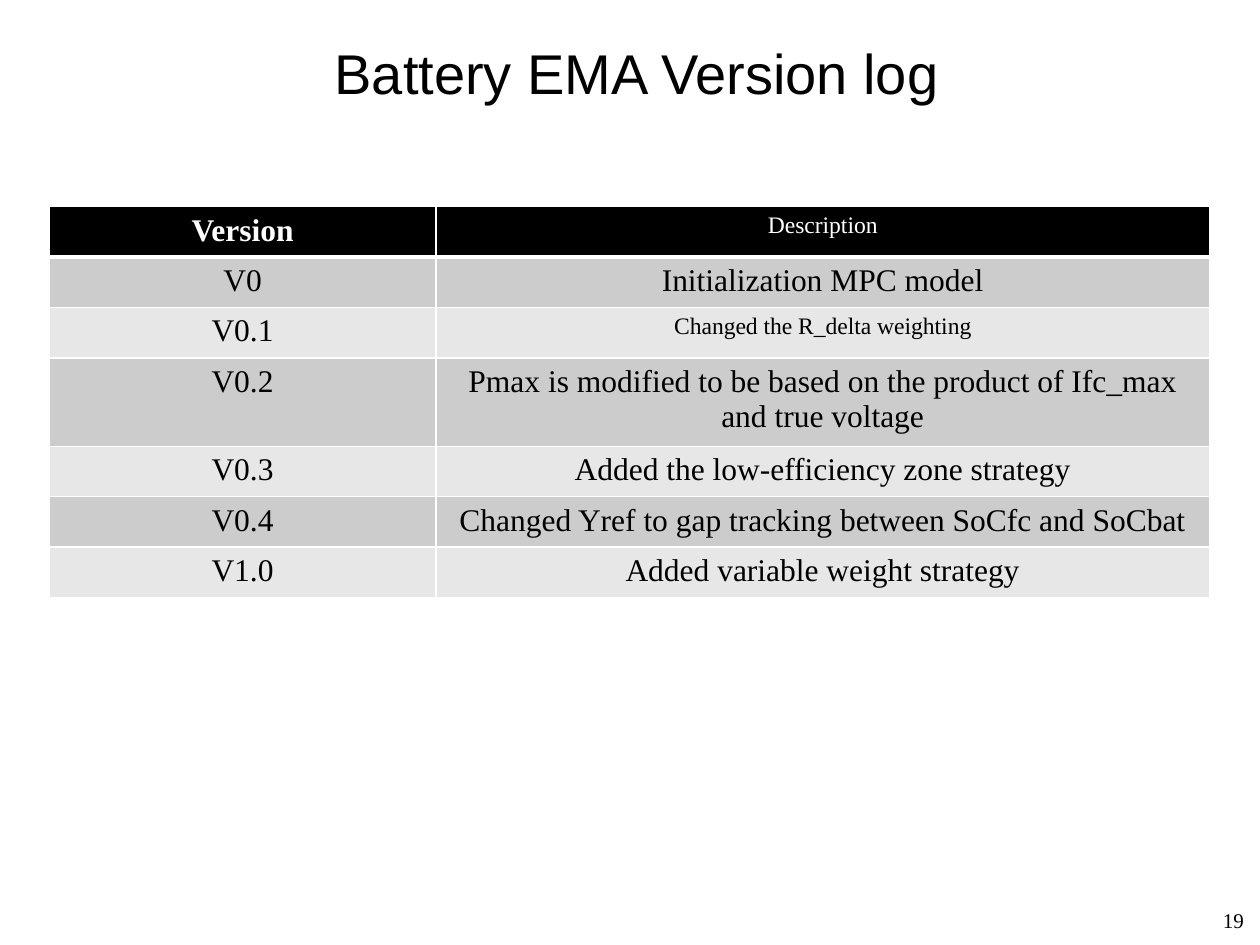
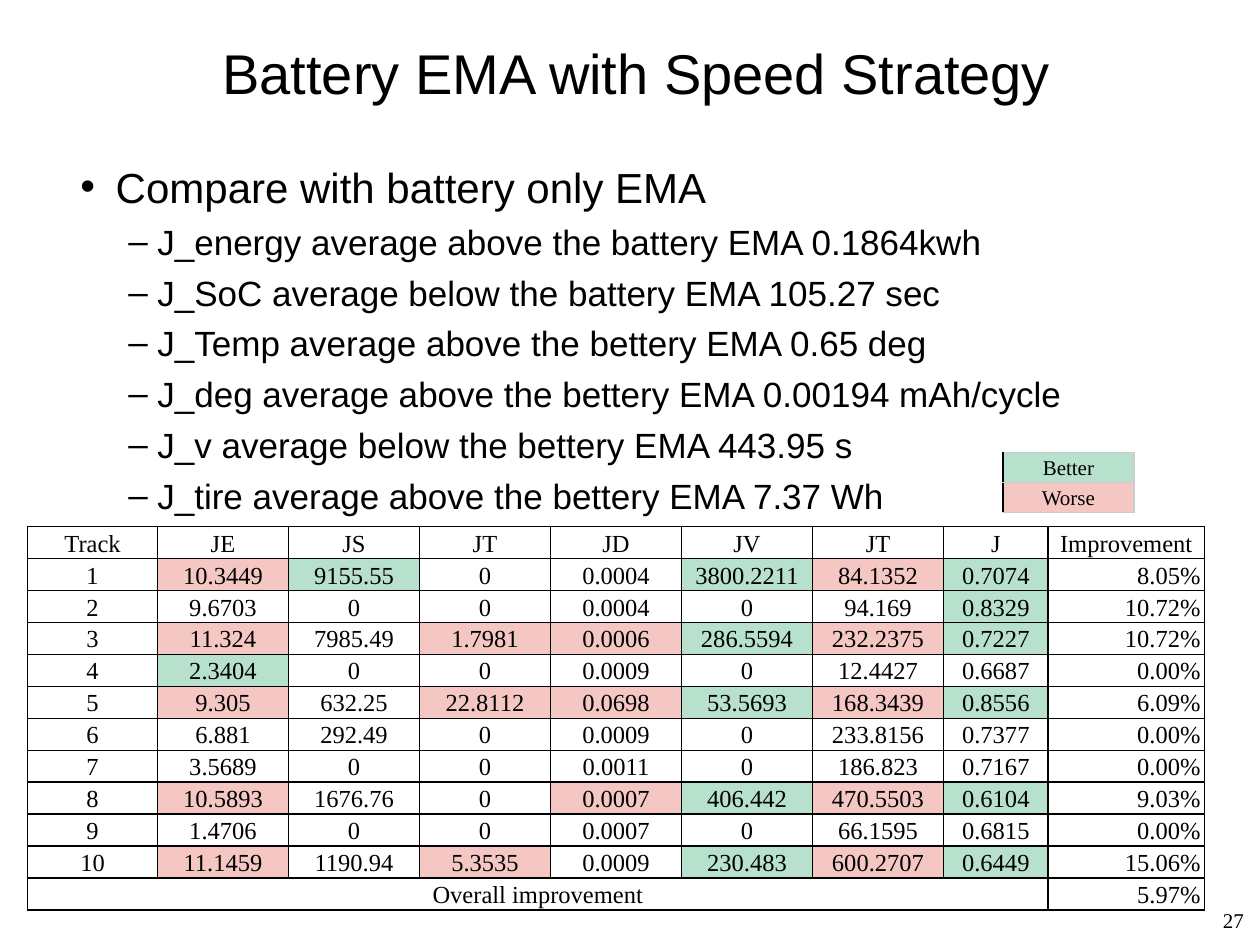
from lxml import etree
from pptx import Presentation
from pptx import util as u
from pptx.dml.color import RGBColor
from pptx.enum import text
from pptx.oxml import ns

SANS, SERIF = "Arial", "Times New Roman"
BLACK, WHITE = "000000", "FFFFFF"
DARK_BAND, LIGHT_BAND = "CCCCCC", "E7E7E7"
BETTER, WORSE = "B7E1CD", "F4C7C3"
MARKS = {"+": BETTER, "-": WORSE}
CENTER, RIGHT = text.PP_ALIGN.CENTER, text.PP_ALIGN.RIGHT

VERSIONS = [
    ("Version", "Description"),
    ("V0", "Initialization MPC model"),
    ("V0.1", "Changed the R_delta weighting"),
    ("V0.2", "Pmax is modified to be based on the product of Ifc_max and true voltage"),
    ("V0.3", "Added the low-efficiency zone strategy"),
    ("V0.4", "Changed Yref to gap tracking between SoCfc and SoCbat"),
    ("V1.0", "Added variable weight strategy"),
]
SMALL_DESCRIPTIONS = (0, 2)

COMPARISON = [
    "J_energy average above the battery EMA 0.1864kwh",
    "J_SoC average below the battery EMA 105.27 sec",
    "J_Temp average above the bettery EMA 0.65 deg",
    "J_deg average above the bettery EMA 0.00194 mAh/cycle",
    "J_v average below the bettery EMA 443.95 s",
    "J_tire average above the bettery EMA 7.37 Wh",
]

# A leading + marks a better value and a leading - a worse one.
TRACKS = [row.split() for row in (
    "Track JE JS JT JD JV JT J Improvement",
    "1 -10.3449 +9155.55 0 0.0004 +3800.2211 -84.1352 +0.7074 8.05%",
    "2 9.6703 0 0 0.0004 0 94.169 +0.8329 10.72%",
    "3 -11.324 7985.49 -1.7981 -0.0006 +286.5594 -232.2375 +0.7227 10.72%",
    "4 +2.3404 0 0 0.0009 0 12.4427 0.6687 0.00%",
    "5 -9.305 632.25 -22.8112 -0.0698 +53.5693 -168.3439 +0.8556 6.09%",
    "6 6.881 292.49 0 0.0009 0 233.8156 0.7377 0.00%",
    "7 3.5689 0 0 0.0011 0 186.823 0.7167 0.00%",
    "8 -10.5893 1676.76 0 -0.0007 +406.442 -470.5503 +0.6104 9.03%",
    "9 1.4706 0 0 0.0007 0 66.1595 0.6815 0.00%",
    "10 -11.1459 1190.94 -5.3535 0.0009 +230.483 -600.2707 +0.6449 15.06%",
)]
TRACKS.append(["Overall improvement"] + [""] * 7 + ["5.97%"])


def rgb(color):
    return RGBColor.from_string(color)


def add_run(p, words, size, font, color=BLACK, bold=False):
    r = p.add_run()
    r.text = words
    r.font.size = u.Pt(size)
    r.font.name = font
    r.font.bold = bold
    r.font.color.rgb = rgb(color)


def place(sp, box):
    sp.left, sp.top, sp.width, sp.height = map(u.Inches, box)


def add_title(s, words, box=(1.14, 0.12, 7.83, 0.91)):
    sp = s.shapes.title
    place(sp, box)
    tf = sp.text_frame
    tf.vertical_anchor = text.MSO_ANCHOR.MIDDLE
    p = tf.paragraphs[0]
    p.alignment = CENTER
    add_run(p, words, 32, SANS)


def add_page_number(s, number, box=(9.38, 7.1, 0.59, 0.4)):
    tf = s.shapes.add_textbox(*map(u.Inches, box)).text_frame
    tf.word_wrap = True
    tf.vertical_anchor = text.MSO_ANCHOR.MIDDLE
    p = tf.paragraphs[0]
    p.alignment = RIGHT
    add_run(p, str(number), 12, SERIF)


def add_slide(prs, title, number):
    s = prs.slides.add_slide(prs.slide_layouts[5])
    add_title(s, title)
    add_page_number(s, number)
    return s


def add_grid(s, left, top, cols, rows):
    box = (left, top, sum(cols), sum(rows))
    table = s.shapes.add_table(len(rows), len(cols), *map(u.Inches, box)).table
    table.first_row = table.horz_banding = False
    for column, width in zip(table.columns, cols):
        column.width = u.Inches(width)
    for row, height in zip(table.rows, rows):
        row.height = u.Inches(height)
    return table


def set_borders(cell, **borders):
    tcPr = cell._tc.get_or_add_tcPr()
    for side in "LRTB":
        color, width = borders.get(side) or borders["rest"]
        ln = etree.SubElement(tcPr, ns.qn(f"a:ln{side}"), w=str(u.Pt(width)))
        fill = etree.SubElement(ln, ns.qn("a:solidFill"))
        etree.SubElement(fill, ns.qn("a:srgbClr"), val=color)


def fill_cell(cell, words, size, fill, color=BLACK, bold=False, align=CENTER):
    cell.fill.solid()
    cell.fill.fore_color.rgb = rgb(fill)
    p = cell.text_frame.paragraphs[0]
    p.alignment = align
    if words:
        add_run(p, words, size, SERIF, color, bold)


def tighten(cell, side, edge):
    cell.margin_left = cell.margin_right = u.Inches(side)
    cell.margin_top = cell.margin_bottom = u.Inches(edge)
    cell.vertical_anchor = text.MSO_ANCHOR.BOTTOM


def add_version_table(s, left, top):
    heights = [0.39, 0.37, 0.37, 0.66, 0.37, 0.37, 0.37]
    table = add_grid(s, left, top, [3.07, 6.14], heights)
    thin, thick = (WHITE, 1), (WHITE, 3)
    for i, row in enumerate(VERSIONS):
        header = i == 0
        fill = BLACK if header else DARK_BAND if i % 2 else LIGHT_BAND
        for j, words in enumerate(row):
            cell = table.cell(i, j)
            set_borders(cell, rest=thin, T=thick if i == 1 else thin,
                        B=thick if header else thin)
            size = 13.5 if j == 1 and i in SMALL_DESCRIPTIONS else 18
            fill_cell(cell, words, size, fill, WHITE if header else BLACK,
                      bold=header and j == 0)


def add_track_table(s, left, top):
    cols = [1.03] + [1.04] * 6 + [0.83, 1.24]
    table = add_grid(s, left, top, cols, [0.25] * len(TRACKS))
    last = len(cols) - 1
    for i, row in enumerate(TRACKS):
        for j, words in enumerate(row):
            cell = table.cell(i, j)
            tighten(cell, 0.03, 0.01)
            set_borders(cell, rest=(BLACK, 1))
            fill_cell(cell, words.lstrip("+-"), 14, MARKS.get(words[:1], WHITE),
                      align=RIGHT if i and j == last else CENTER)
    bottom = len(TRACKS) - 1
    table.cell(bottom, 0).merge(table.cell(bottom, last - 1))


def add_legend(s, left, top):
    table = add_grid(s, left, top, [1.04], [0.23] * 2)
    for i, (words, fill) in enumerate([("Better", BETTER), ("Worse", WORSE)]):
        cell = table.cell(i, 0)
        tighten(cell, 0.03, 0.02)
        set_borders(cell, rest=(DARK_BAND, 0.75), L=(BLACK, 0.75))
        fill_cell(cell, words, 12, fill)


def add_bullet(p, words, size, char, indent, hang):
    p.space_before = u.Pt(size / 4)
    pPr = p._p.get_or_add_pPr()
    pPr.set("marL", str(u.Inches(indent)))
    pPr.set("indent", str(-u.Inches(hang)))
    etree.SubElement(pPr, ns.qn("a:buFont"), typeface=SANS)
    etree.SubElement(pPr, ns.qn("a:buChar"), char=char)
    add_run(p, words, size, SANS)


def add_comparison(s, box):
    tf = s.shapes.add_textbox(*map(u.Inches, box)).text_frame
    tf.word_wrap = True
    add_bullet(tf.paragraphs[0], "Compare with battery only EMA", 24, "•", 0.28, 0.28)
    for words in COMPARISON:
        p = tf.add_paragraph()
        p.level = 1
        add_bullet(p, words, 20, "–", 0.61, 0.23)


def main():
    prs = Presentation()
    prs.slide_width, prs.slide_height = u.Inches(10), u.Inches(7.5)

    s = add_slide(prs, "Battery EMA Version log", 19)
    add_version_table(s, 0.39, 1.64)

    s = add_slide(prs, "Battery EMA with Speed Strategy", 27)
    add_track_table(s, 0.22, 4.18)
    add_legend(s, 7.96, 3.59)
    add_comparison(s, (0.54, 1.23, 9.22, 2.9))

    prs.save("out.pptx")


if __name__ == "__main__":
    main()
